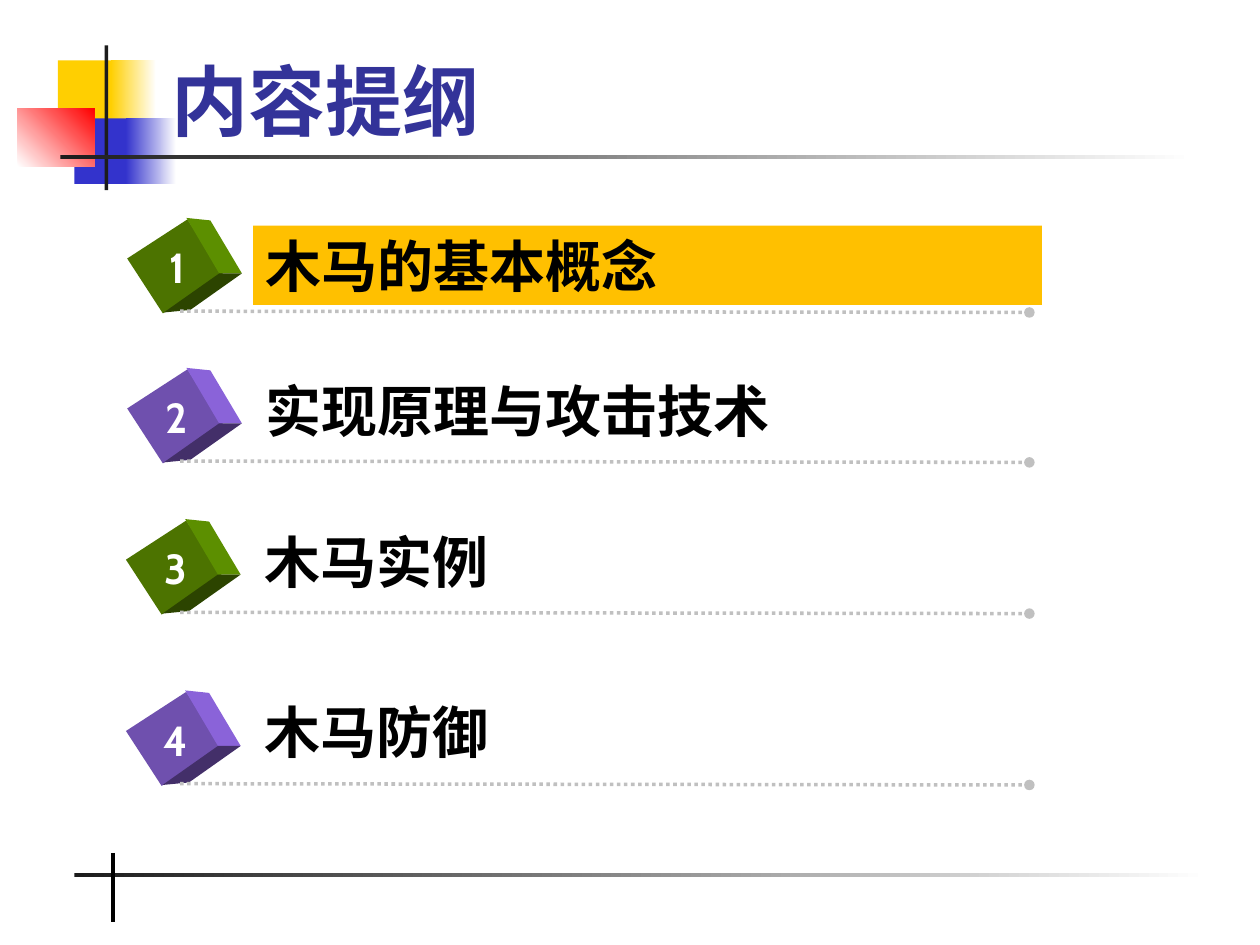
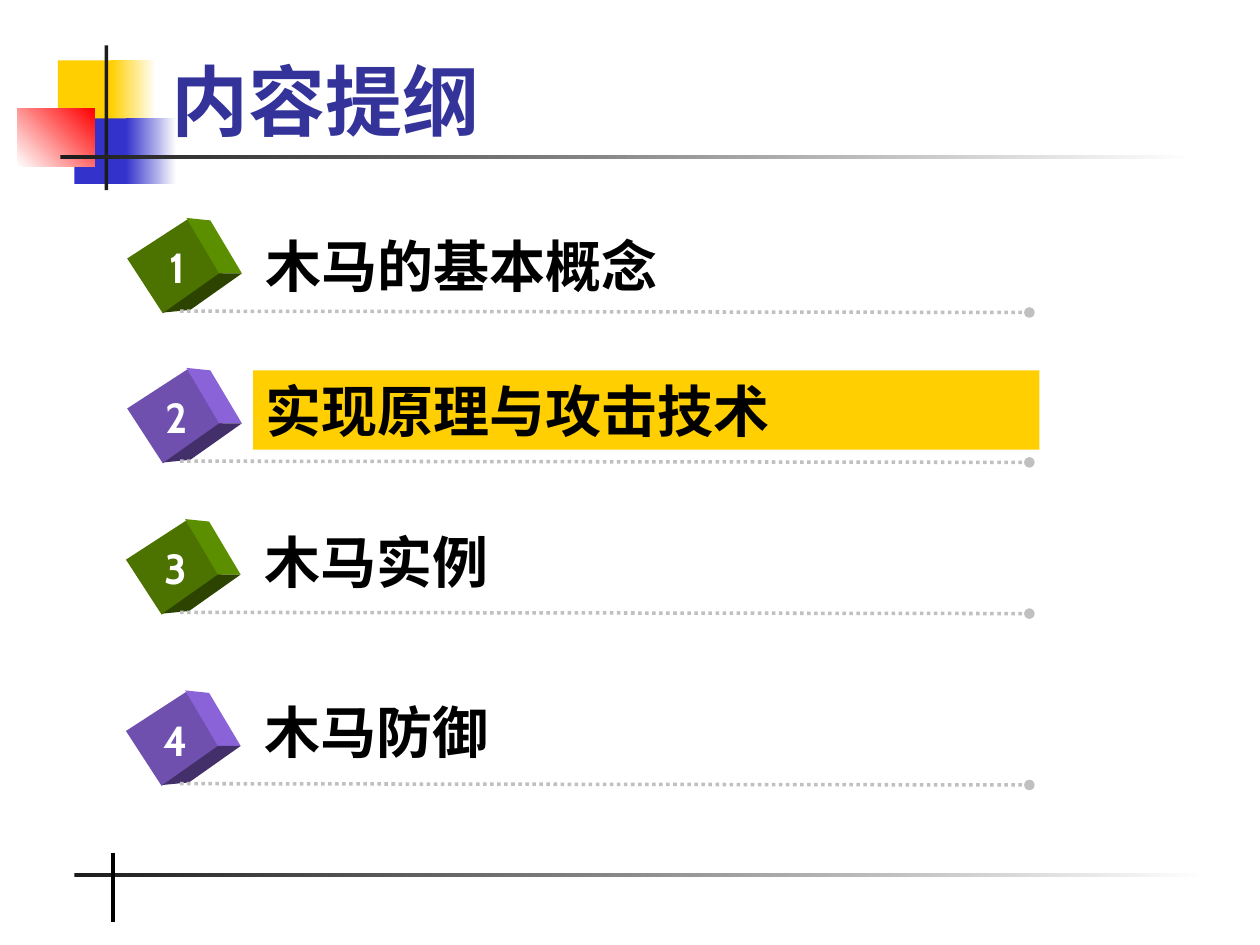
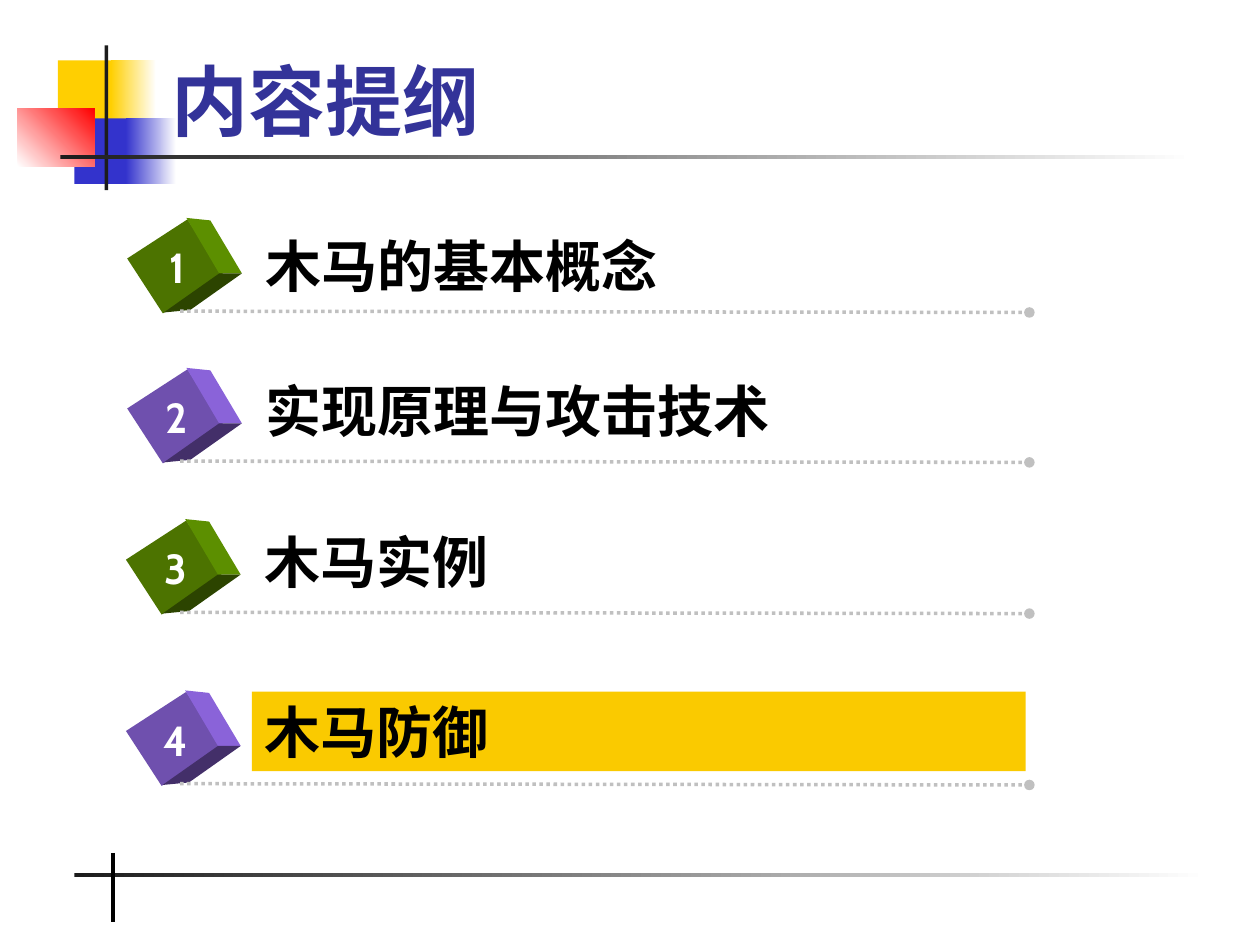
from typing import NamedTuple

import pptx
import pptx.dml.color
import pptx.enum.dml
import pptx.enum.shapes
import pptx.enum.text
import pptx.oxml
import pptx.oxml.ns
import pptx.util

Inches = pptx.util.Inches
Pt = pptx.util.Pt
RECTANGLE = pptx.enum.shapes.MSO_SHAPE.RECTANGLE
ALIGN = pptx.enum.text.PP_ALIGN

INK = "1C1C1C"
WHITE = "FFFFFF"
BLACK = "000000"
YELLOW = "FFCF01"
BLUE = "3333CC"
TITLE_BLUE = "333399"
RULE_GREY = "C0C0C0"
TITLE_FONT = "Times New Roman"
BODY_FONT = "Cabin"


class Band(NamedTuple):
    left: float
    top: float
    width: float
    height: float
    colour: str
    fade_to: str = ""
    angle: int = 0


class CubeColours(NamedTuple):
    front: str
    light: str
    dark: str


class Topic(NamedTuple):
    number: int
    caption: str
    cube_left: float
    cube_top: float
    caption_left: float
    caption_top: float
    caption_width: float
    cube: CubeColours


class Agenda(NamedTuple):
    current: int
    highlight: str


GREEN = CubeColours("4C7300", "5C8F00", "2C4400")
PURPLE = CubeColours("6F50AE", "8A63D9", "432F69")

BANDS = [
    Band(0.46, 0.48, 0.48, 0.52, YELLOW),
    Band(0.88, 0.48, 0.36, 0.52, YELLOW, WHITE),
    Band(0.59, 0.94, 0.46, 0.52, BLUE),
    Band(1, 0.94, 0.4, 0.52, BLUE, WHITE),
    Band(0.14, 0.86, 0.61, 0.46, WHITE, "FF0000", 45),
    Band(0.83, 0.36, 0.03, 1.15, INK),
    Band(0.48, 1.23, 9, 0.03, INK, WHITE),
    Band(0.59, 6.93, 9, 0.03, INK, WHITE),
]

TOPICS = [
    Topic(1, "木马的基本概念", 1.13, 1.83, 2.01, 1.79, 6.26, GREEN),
    Topic(2, "实现原理与攻击技术", 1.13, 3.02, 2.01, 2.94, 6.24, PURPLE),
    Topic(3, "木马实例", 1.12, 4.22, 2, 4.14, 6.17, GREEN),
    Topic(4, "木马防御", 1.12, 5.58, 2, 5.49, 6.14, PURPLE),
]

AGENDAS = [Agenda(1, "FFC000"), Agenda(2, YELLOW), Agenda(4, "FACA00")]

LIGHT_SIDE = [(0.35, -0.1), (0.54, -0.08), (0.79, 0.34), (0.61, 0.34)]
DARK_SIDE = [(0.17, 0.65), (0.61, 0.34), (0.79, 0.34), (0.38, 0.63)]


def rgb(colour: str) -> pptx.dml.color.RGBColor:
    return pptx.dml.color.RGBColor.from_string(colour)


def paint(shape, colour: str) -> None:
    shape.shadow.inherit = False
    shape.fill.solid()
    shape.fill.fore_color.rgb = rgb(colour)
    shape.line.fill.background()


def draw_band(slide, band: Band) -> None:
    block = slide.shapes.add_shape(
        RECTANGLE, Inches(band.left), Inches(band.top), Inches(band.width), Inches(band.height)
    )
    paint(block, band.colour)
    if band.fade_to:
        block.fill.gradient()
        block.fill.gradient_angle = band.angle
        for stop, colour in zip(block.fill.gradient_stops, (band.colour, band.fade_to)):
            stop.color.rgb = rgb(colour)


def draw_text(slide, text: str, left: float, top: float, width: float, height: float,
              size: int, colour: str, font: str = BODY_FONT, align=ALIGN.LEFT,
              anchor=pptx.enum.text.MSO_ANCHOR.TOP, wrap: bool = True):
    box = slide.shapes.add_textbox(Inches(left), Inches(top), Inches(width), Inches(height))
    frame = box.text_frame
    frame.word_wrap = wrap
    frame.vertical_anchor = anchor
    frame.text = text
    paragraph = frame.paragraphs[0]
    paragraph.alignment = align
    run_font = paragraph.runs[0].font
    run_font.name = font
    run_font.size = Pt(size)
    run_font.bold = True
    run_font.color.rgb = rgb(colour)
    return box


def draw_line(slide, start: tuple[float, float], end: tuple[float, float],
              colour: str, weight: float, dotted: bool = False) -> None:
    line = slide.shapes.add_connector(
        pptx.enum.shapes.MSO_CONNECTOR.STRAIGHT, *map(Inches, start + end)
    )
    line.line.color.rgb = rgb(colour)
    line.line.width = Pt(weight)
    if dotted:
        line.line.dash_style = pptx.enum.dml.MSO_LINE.ROUND_DOT
        tail = pptx.oxml.parse_xml(f'<a:tailEnd {pptx.oxml.ns.nsdecls("a")} type="oval"/>')
        line.line._get_or_add_ln().append(tail)
    line._element.spPr.append(
        pptx.oxml.parse_xml(f'<a:effectLst {pptx.oxml.ns.nsdecls("a")}/>')
    )


def draw_cube(slide, left: float, top: float, colours: CubeColours) -> None:
    front = slide.shapes.add_shape(
        RECTANGLE, Inches(left), Inches(top), Inches(0.52), Inches(0.57)
    )
    front.rotation = 57
    paint(front, colours.front)
    for corners, colour in ((LIGHT_SIDE, colours.light), (DARK_SIDE, colours.dark)):
        points = [(Inches(left + x), Inches(top + y)) for x, y in corners]
        outline = slide.shapes.build_freeform(*points[0])
        outline.add_line_segments(points[1:])
        paint(outline.convert_to_shape(), colour)


def draw_topic(slide, topic: Topic, highlight: str) -> None:
    draw_cube(slide, topic.cube_left, topic.cube_top, topic.cube)
    draw_text(slide, str(topic.number), topic.cube_left + 0.08, topic.cube_top + 0.04,
              0.39, 0.5, 24, WHITE, align=ALIGN.CENTER, wrap=False)
    caption = draw_text(slide, topic.caption, topic.caption_left, topic.caption_top,
                        topic.caption_width, 0.63, 32, BLACK)
    if highlight:
        caption.fill.solid()
        caption.fill.fore_color.rgb = rgb(highlight)
    rule_top = topic.cube_top + 0.64
    draw_line(slide, (1.43, rule_top), (8.17, rule_top + 0.01), RULE_GREY, 2, dotted=True)


def draw_frame(slide, title: str) -> None:
    for band in BANDS:
        draw_band(slide, band)
    draw_line(slide, (0.9, 6.77), (0.9, 7.32), BLACK, 2.25)
    draw_text(slide, title, 1.26, 0.16, 8.52, 1.05, 44, TITLE_BLUE, TITLE_FONT,
              anchor=pptx.enum.text.MSO_ANCHOR.BOTTOM)


def main() -> None:
    deck = pptx.Presentation()
    deck.slide_width = Inches(10)
    deck.slide_height = Inches(7.5)
    for agenda in AGENDAS:
        slide = deck.slides.add_slide(deck.slide_layouts[6])
        draw_frame(slide, "内容提纲")
        for topic in TOPICS:
            draw_topic(slide, topic, agenda.highlight if topic.number == agenda.current else "")
    deck.save("out.pptx")


if __name__ == "__main__":
    main()
